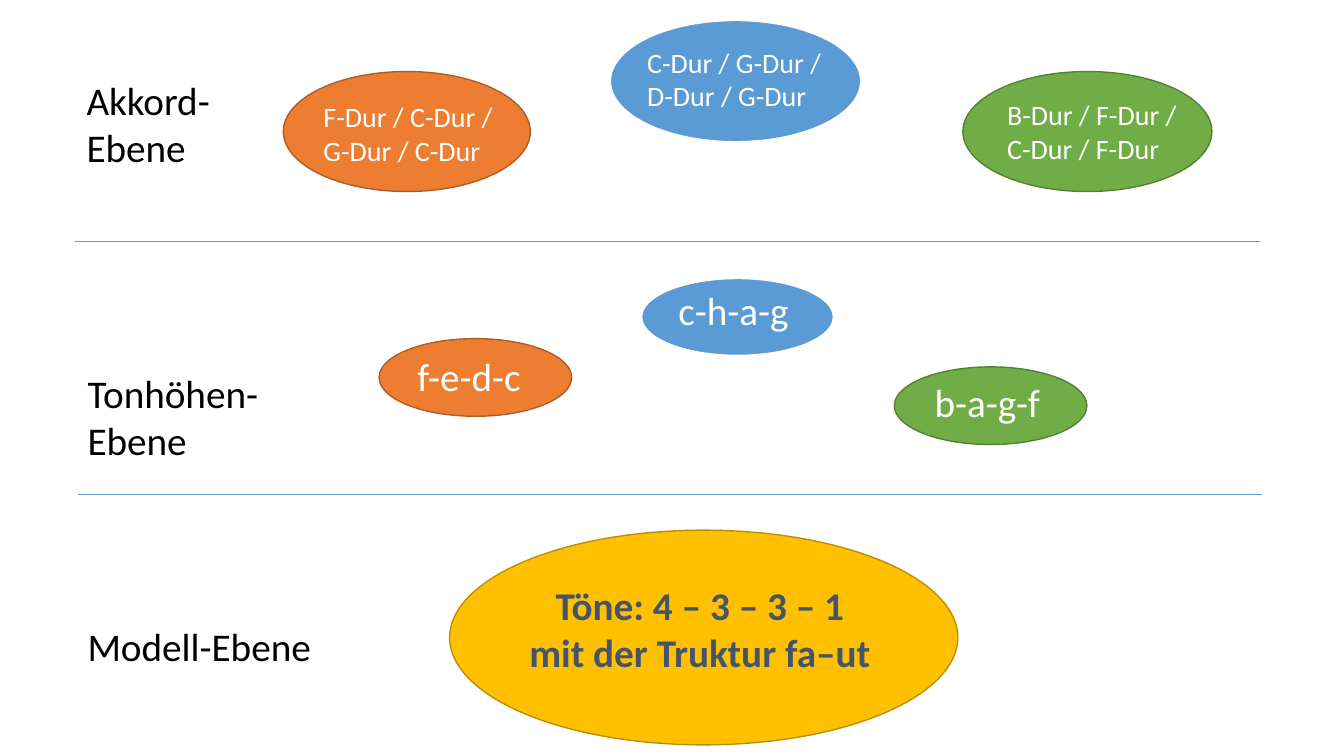
from pptx import Presentation
from pptx.dml.color import RGBColor
from pptx.enum.shapes import MSO_CONNECTOR, MSO_SHAPE
from pptx.enum.text import PP_ALIGN
from pptx.oxml.ns import qn
from pptx.util import Emu, Pt

PX = 9144
ELLIPSE = MSO_SHAPE.OVAL
STRAIGHT = MSO_CONNECTOR.STRAIGHT
LEFT, CENTER = PP_ALIGN.LEFT, PP_ALIGN.CENTER
FONT = "Calibri"
COLORS = {
    "black": "000000", "white": "FFFFFF", "slate": "44546A",
    "orange": "ED7D31", "dark_orange": "AF5C24",
    "blue": "5B9BD5",
    "green": "70AD47", "dark_green": "538035",
    "gold": "FFC000", "dark_gold": "BD8E00",
}
OUTLINES = {
    "orange": ("dark_orange", 1), "blue": ("white", 1.5),
    "green": ("dark_green", 1), "gold": ("dark_gold", 1),
}


def color(name):
    return RGBColor.from_string(COLORS[name])


def write_text(frame, text, size=28, fill="black", bold=False, align=LEFT):
    frame.word_wrap = True
    for index, line in enumerate(text.split("\n")):
        paragraph = frame.paragraphs[0] if index == 0 else frame.add_paragraph()
        paragraph.alignment = align
        run = paragraph.add_run()
        run.text = line
        run.font.name = FONT
        run.font.size = Pt(size)
        run.font.bold = bold
        run.font.color.rgb = color(fill)


class LevelSlide:
    """Draws the levels of a musical model on one blank slide."""

    def __init__(self, presentation):
        self.shapes = presentation.slides.add_slide(presentation.slide_layouts[6]).shapes

    def label(self, box, text, **style):
        shape = self.shapes.add_textbox(*(Emu(value * PX) for value in box))
        write_text(shape.text_frame, text, **style)

    def ellipse(self, box, fill):
        shape = self.shapes.add_shape(ELLIPSE, *(Emu(value * PX) for value in box))
        shape.shadow.inherit = False
        shape.fill.solid()
        shape.fill.fore_color.rgb = color(fill)
        outline, width = OUTLINES[fill]
        shape.line.color.rgb = color(outline)
        shape.line.width = Pt(width)

    def divider(self, left, right, top):
        ends = (Emu(value * PX) for value in (left, top, right, top))
        connector = self.shapes.add_connector(STRAIGHT, *ends)
        connector.line.color.rgb = color("blue")
        connector.line.width = Pt(0.5)
        properties = connector._element.spPr
        properties.append(properties.makeelement(qn("a:effectLst"), {}))


def main():
    presentation = Presentation()
    presentation.slide_width = Emu(1333 * PX)
    presentation.slide_height = Emu(750 * PX)
    slide = LevelSlide(presentation)

    slide.label((76, 71, 222, 104), "Akkord-\nEbene")
    slide.label((77, 361, 204, 104), "Tonhöhen-\nEbene")
    slide.label((77, 612, 274, 57), "Modell-Ebene")
    slide.divider(74, 1250, 239)
    slide.divider(77, 1252, 490)

    chords = [
        ("orange", (281, 71, 245, 119), (311, 94), "F-Dur / C-Dur /\nG-Dur / C-Dur"),
        ("blue", (605, 20, 249, 121), (632, 40), "C-Dur / G-Dur /\nD-Dur / G-Dur"),
        ("green", (955, 71, 247, 119), (989, 92), "B-Dur / F-Dur /\nC-Dur / F-Dur"),
    ]
    for fill, box, corner, text in chords:
        slide.ellipse(box, fill)
        slide.label((*corner, 193, 77), text, size=20, fill="white")

    pitches = [
        ("orange", (376, 336), (404, 345), "f-e-d-c"),
        ("blue", (636, 276), (663, 279), "c-h-a-g"),
        ("green", (887, 364), (917, 370), "b-a-g-f"),
    ]
    for fill, ellipse_corner, text_corner, text in pitches:
        slide.ellipse((*ellipse_corner, 191, 77), fill)
        slide.label((*text_corner, 132, 57), text, fill="white")

    slide.ellipse((446, 526, 504, 213), "gold")
    slide.label((505, 572, 378, 104), "Töne: 4 – 3 – 3 – 1\nmit der Truktur fa–ut",
                fill="slate", bold=True, align=CENTER)

    presentation.save("out.pptx")


if __name__ == "__main__":
    main()
